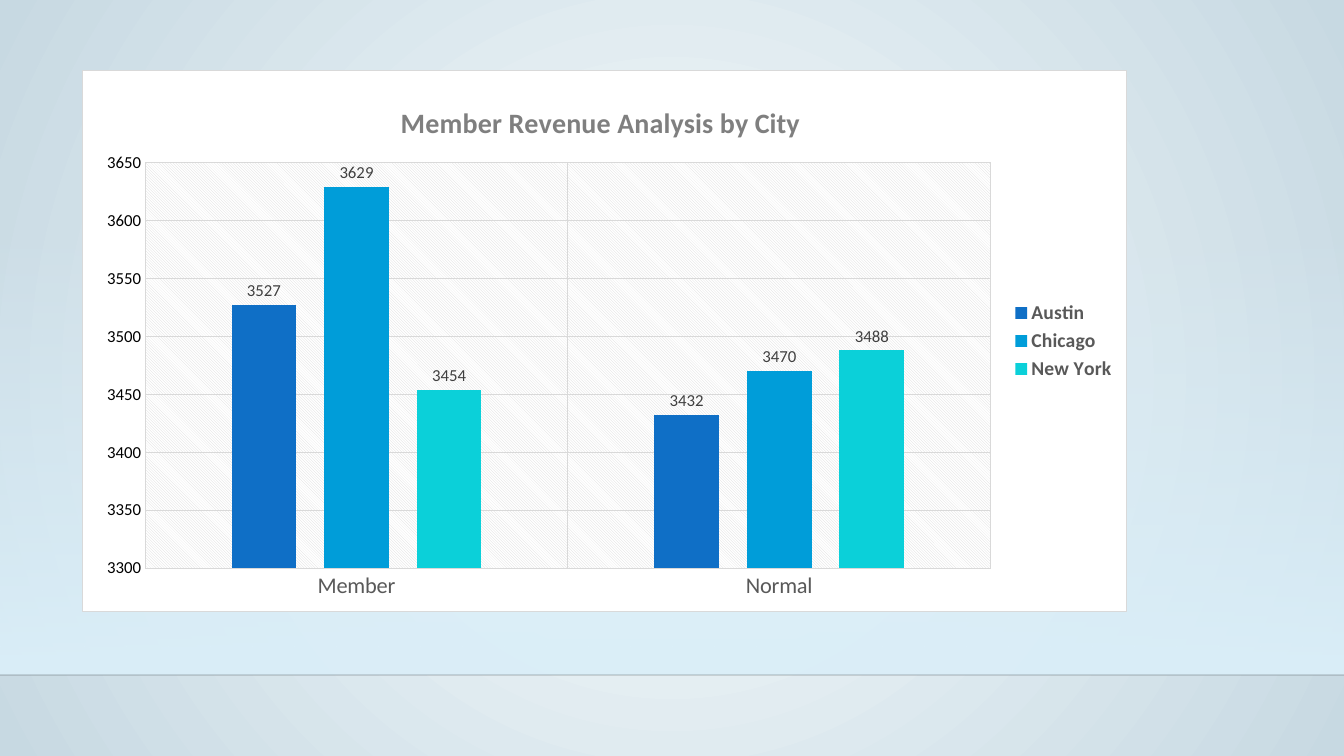
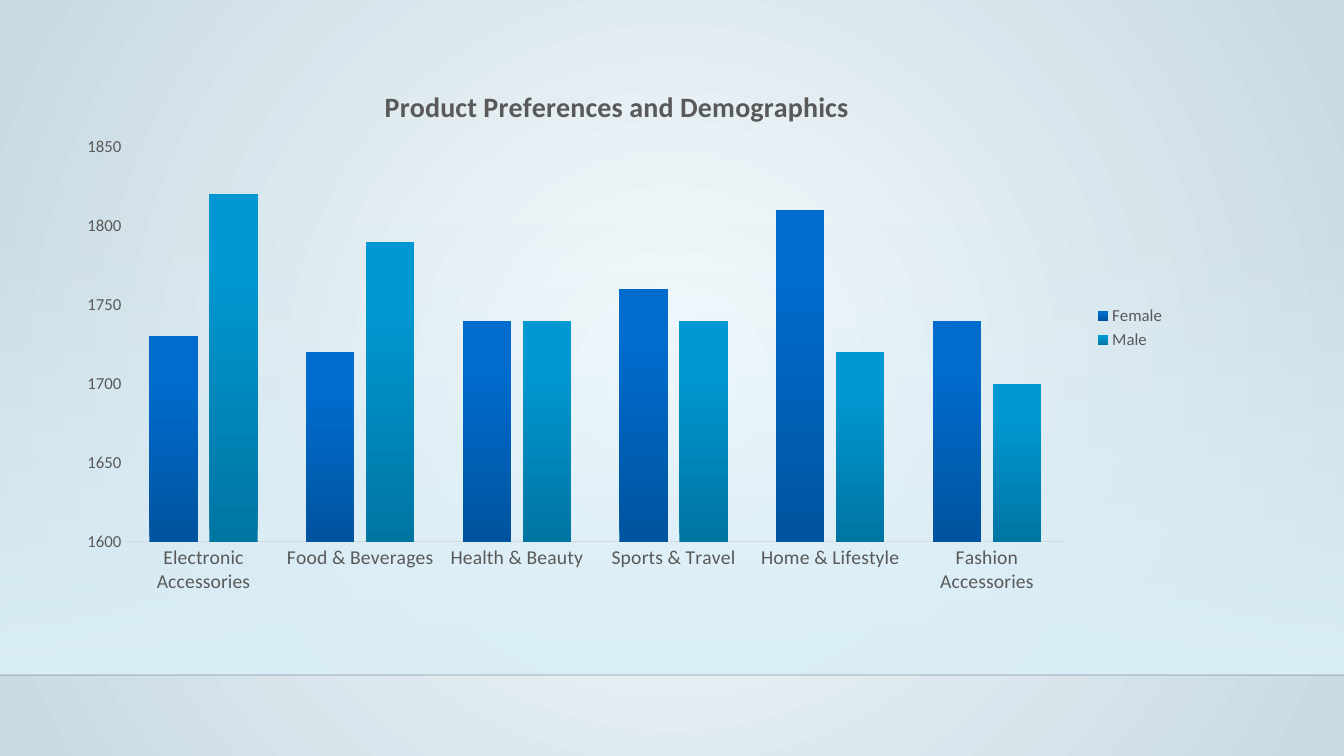
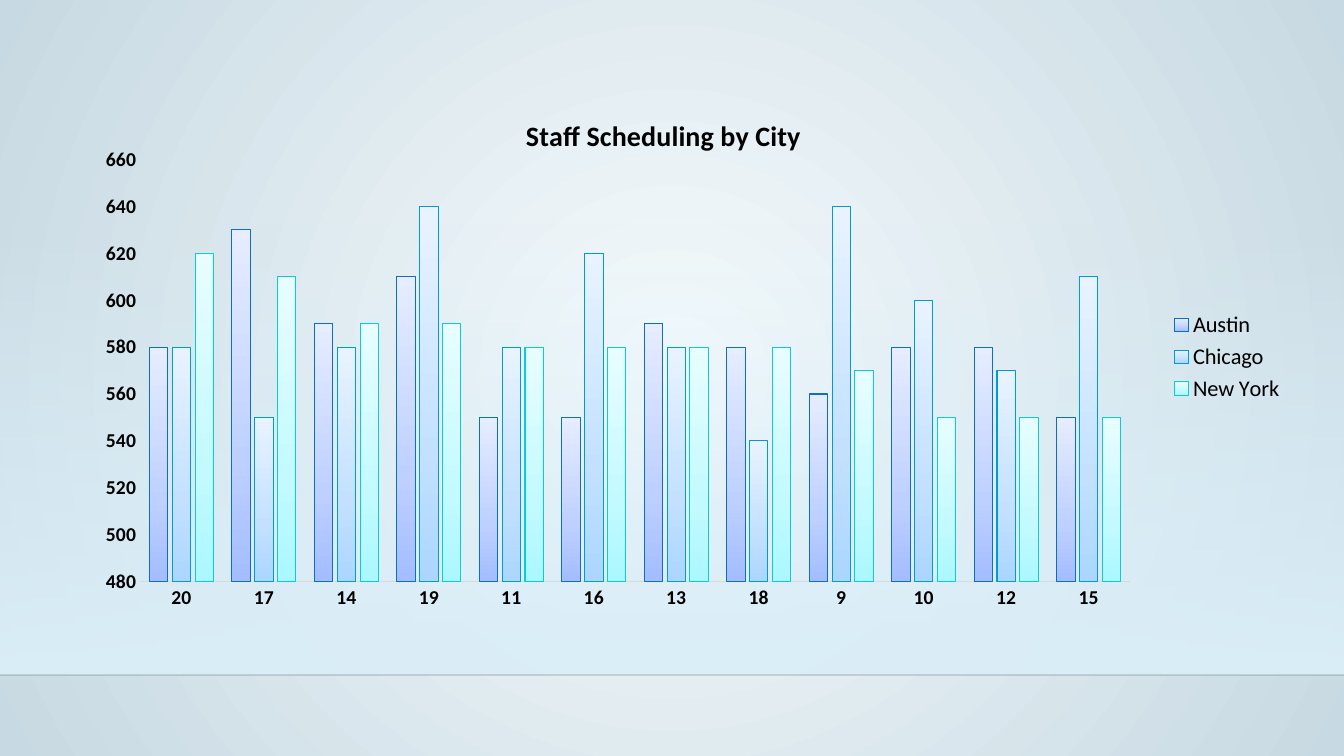
"""Build three column-chart slides on a shared pale blue stage."""
import dataclasses

import lxml.etree
import pptx
import pptx.chart.data
import pptx.dml.color
import pptx.enum.chart
import pptx.enum.shapes
import pptx.oxml
import pptx.oxml.ns
import pptx.util

SCALE = 914400 / 100.8
WIDE, HIGH = 1344, 756
BLANK = 6
qn = pptx.oxml.ns.qn


@dataclasses.dataclass(frozen=True)
class Theme:
    """Colours and type sizes of the deck."""
    face: str = "Calibri"
    black: str = "000000"
    ink: str = "595959"
    gray: str = "7F7F7F"
    label: str = "404040"
    rule: str = "D9D9D9"
    white: str = "FFFFFF"
    edge: str = "000001"
    stage: tuple = ((0, "F6FBFD"), (100, "C7D9E2"))
    band: tuple = ((0, "DBEFF9", 0), (100, "DBEFF9"))
    flat: tuple = ("0F6FC6", "009DD9", "0BD0D9")
    deep: tuple = (
        ((0, "00539F"), (80, "006CCE"), (100, "006DCF")),
        ((0, "0075A2"), (80, "0098D2"), (100, "0099D3")),
    )
    pale: tuple = (
        ((0, "A3BDFF"), (35, "BED0FF"), (100, "E6EDFF")),
        ((0, "ABD6FF"), (35, "C3E1FF"), (100, "E8F3FF")),
        ((0, "ABF8FF"), (35, "C3FAFF"), (100, "E8FDFF")),
    )
    trim: tuple = ("0F6DC2", "009AD4", "0BCBD4")
    head: int = 20
    large: int = 16
    mid: int = 14
    small: int = 12
    base: int = 10


def px(size):
    """Turn px into EMU."""
    return round(size * SCALE)


def rgb(code):
    """Turn a hex code into a colour."""
    return pptx.dml.color.RGBColor.from_string(code)


def node(tag, parent=None, **attrs):
    """Make an XML element, under a parent if one is given."""
    item = pptx.oxml.parse_xml(f"<{tag} {pptx.oxml.ns.nsdecls('a', 'c')}/>")
    for key, val in attrs.items():
        item.set(key, str(val))
    if parent is not None:
        parent.append(item)
    return item


def tint(parent, code, alpha=100):
    """Add a colour with an optional alpha."""
    color = node("a:srgbClr", parent, val=code)
    if alpha < 100:
        node("a:alpha", color, val=alpha * 1000)


def blend(fill, owner, stops, angle=None):
    """Fill with a linear gradient, or a round one if no angle is given."""
    fill.gradient()
    old = next(owner.iter(qn("a:gradFill")))
    new = node("a:gradFill", rotWithShape=1)
    row = node("a:gsLst", new)
    for spot, *color in stops:
        tint(node("a:gs", row, pos=spot * 1000), *color)
    if angle is None:
        way = node("a:path", new, path="circle")
        node("a:fillToRect", way, l=50000, t=50000, r=50000, b=50000)
    else:
        node("a:lin", new, ang=angle * 60000, scaled=0)
    old.getparent().replace(old, new)


def place(parent, index, inner=False, **box):
    """Give a chart part a manual layout."""
    old = parent.find(qn("c:layout"))
    if old is not None:
        parent.remove(old)
    outer = node("c:layout")
    parent.insert(index, outer)
    spot = node("c:manualLayout", outer)
    if inner:
        node("c:layoutTarget", spot, val="inner")
    for key in "xy":
        node(f"c:{key}Mode", spot, val="edge")
    for key, val in box.items():
        node(f"c:{key}", spot, val=val)


class Deck:
    """Hold the style and the current slide."""

    def __init__(self, theme):
        """Set the slide size and the shared background."""
        self.theme = theme
        self.show = pptx.Presentation()
        self.show.slide_width, self.show.slide_height = px(WIDE), px(HIGH)
        main = self.show.slide_master
        blend(main.background.fill, main.element, theme.stage)
        self.slide = None

    def start(self):
        """Add a slide with its band and edge."""
        self.slide = self.show.slides.add_slide(self.show.slide_layouts[BLANK])
        self.band(223, 452)
        self.edge(675)

    def band(self, top, tall):
        """Draw a full-width band that fades in downwards."""
        kind = pptx.enum.shapes.MSO_SHAPE.RECTANGLE
        band = self.slide.shapes.add_shape(kind, 0, px(top), px(WIDE), px(tall))
        band.shadow.inherit = False
        band.line.fill.background()
        blend(band.fill, band.element, self.theme.band, 90)

    def edge(self, top):
        """Draw a faint full-width line."""
        kind = pptx.enum.shapes.MSO_CONNECTOR.STRAIGHT
        edge = self.slide.shapes.add_connector(kind, 0, px(top), px(WIDE), px(top))
        self.stroke(edge.line, self.theme.edge, 1)
        color = next(edge.element.spPr.iter(qn("a:srgbClr")))
        node("a:alpha", color, val=20000)
        node("a:effectLst", edge.element.spPr)

    def stroke(self, line, code, width=0.75):
        """Set a line's colour and width."""
        line.color.rgb = rgb(code)
        line.width = pptx.util.Pt(width)

    def font(self, font, size, code, bold=False):
        """Set face, size, colour and weight."""
        font.name = self.theme.face
        font.size = pptx.util.Pt(size)
        font.color.rgb = rgb(code)
        font.bold = bold

    def chart(self, box, cats, rows):
        """Add a clustered column chart with a legend at the right."""
        data = pptx.chart.data.CategoryChartData()
        data.categories = cats
        for name, vals in rows.items():
            data.add_series(name, vals)
        kind = pptx.enum.chart.XL_CHART_TYPE.COLUMN_CLUSTERED
        chart = self.slide.shapes.add_chart(kind, *map(px, box), data).chart
        self.font(chart.font, self.theme.base, self.theme.black)
        chart.plots[0].vary_by_categories = False
        chart.has_legend = True
        chart.legend.position = pptx.enum.chart.XL_LEGEND_POSITION.RIGHT
        chart.legend.include_in_layout = False
        return chart

    def title(self, chart, text, code, left):
        """Write the chart title at a share of the chart's width."""
        frame = chart.chart_title.text_frame
        frame.text = text
        self.font(frame.paragraphs[0].font, self.theme.head, code, True)
        place(chart.chart_title._element, 1, x=left, y=0.05)

    def plot(self, chart, gap, lap, x, y, w, h):
        """Set the bar gaps and the inner plot area."""
        chart.plots[0].gap_width = gap
        chart.plots[0].overlap = lap
        area = next(chart.element.iter(qn("c:plotArea")))
        place(area, 0, True, x=x, y=y, w=w, h=h)

    def axes(self, chart, low, high, step, width=0.75, grid=False):
        """Set the scale, the lines and the grid."""
        cat, val = chart.category_axis, chart.value_axis
        val.minimum_scale, val.maximum_scale = low, high
        val.major_unit = step
        for axis in (cat, val):
            axis.major_tick_mark = pptx.enum.chart.XL_TICK_MARK.NONE
            axis.has_major_gridlines = grid
            if grid:
                self.stroke(axis.major_gridlines.format.line, self.theme.rule)
        self.stroke(cat.format.line, self.theme.rule, width)
        val.format.line.fill.background()

    def fonts(self, chart, cat, val, key):
        """Set the fonts of both axes and the legend."""
        self.font(chart.category_axis.tick_labels.font, *cat)
        self.font(chart.value_axis.tick_labels.font, *val)
        self.font(chart.legend.font, *key)

    def bars(self, chart, fills, trims=()):
        """Colour the series, flat or blended, with optional outlines."""
        for index, (row, fill) in enumerate(zip(chart.plots[0].series, fills)):
            if isinstance(fill, str):
                row.format.fill.solid()
                row.format.fill.fore_color.rgb = rgb(fill)
            else:
                blend(row.format.fill, row._element, fill, 270)
            if trims:
                self.stroke(row.format.line, trims[index])

    def labels(self, chart):
        """Show each value above its bar."""
        for row in chart.plots[0].series:
            tags = row.data_labels
            tags.show_value = True
            tags.position = pptx.enum.chart.XL_LABEL_POSITION.OUTSIDE_END
            self.font(tags.font, self.theme.small, self.theme.label)

    def clear(self, chart):
        """Leave the chart frame without fill or line."""
        skin = node("c:spPr")
        node("a:noFill", skin)
        node("a:noFill", node("a:ln", skin))
        chart.element.find(qn("c:chart")).addnext(skin)

    def card(self, chart):
        """Give the chart a white card and a hatched plot area."""
        skin = node("c:spPr")
        tint(node("a:solidFill", skin), self.theme.white)
        line = node("a:ln", skin, w=pptx.util.Pt(0.75))
        tint(node("a:solidFill", line), self.theme.rule)
        chart.element.find(qn("c:chart")).addnext(skin)
        area = next(chart.element.iter(qn("c:plotArea")))
        hatch = node("a:pattFill", node("c:spPr", area), prst="ltDnDiag")
        tint(node("a:fgClr", hatch), self.theme.rule)
        tint(node("a:bgClr", hatch), self.theme.white)


def member(deck):
    """Build the revenue slide."""
    look = deck.theme
    deck.start()
    chart = deck.chart((82, 70, 1045, 542), ["Member", "Normal"], {
        "Austin": (3527, 3432),
        "Chicago": (3629, 3470),
        "New York": (3454, 3488),
    })
    deck.title(chart, "Member Revenue Analysis by City", look.gray, 0.3)
    deck.plot(chart, 267, -43, 0.06, 0.17, 0.81, 0.75)
    deck.axes(chart, 3300, 3650, 50, grid=True)
    deck.fonts(chart, (look.large, look.ink), (look.small, look.black),
               (look.mid, look.ink, True))
    deck.bars(chart, look.flat)
    deck.labels(chart)
    deck.card(chart)


def product(deck):
    """Build the preferences slide."""
    look = deck.theme
    deck.start()
    cats = ["Electronic Accessories", "Food & Beverages", "Health & Beauty",
            "Sports & Travel", "Home & Lifestyle", "Fashion Accessories"]
    chart = deck.chart((70, 54, 1106, 548), cats, {
        "Female": (1730, 1720, 1740, 1760, 1810, 1740),
        "Male": (1820, 1790, 1740, 1740, 1720, 1700),
    })
    deck.title(chart, "Product Preferences and Demographics", look.ink, 0.28)
    deck.plot(chart, 100, -24, 0.05, 0.17, 0.85, 0.72)
    deck.axes(chart, 1600, 1850, 50, width=1)
    deck.fonts(chart, (look.mid, look.ink), (look.small, look.ink),
               (look.small, look.ink))
    deck.bars(chart, look.deep)
    deck.clear(chart)


def staff(deck):
    """Build the scheduling slide."""
    look = deck.theme
    deck.start()
    cats = "20 17 14 19 11 16 13 18 9 10 12 15".split()
    chart = deck.chart((26, 83, 1269, 548), cats, {
        "Austin": (580, 630, 590, 610, 550, 550, 590, 580, 560, 580, 580, 550),
        "Chicago": (580, 550, 580, 640, 580, 620, 580, 540, 640, 600, 570, 610),
        "New York": (620, 610, 590, 590, 580, 580, 580, 580, 570, 550, 550, 550),
    })
    deck.title(chart, "Staff Scheduling by City", look.black, 0.39)
    deck.plot(chart, 100, -24, 0.09, 0.14, 0.78, 0.77)
    deck.axes(chart, 480, 660, 20)
    bold = (look.mid, look.black, True)
    deck.fonts(chart, bold, bold, (look.large, look.black))
    deck.bars(chart, look.pale, look.trim)
    deck.clear(chart)


def main():
    """Build and save the deck."""
    deck = Deck(Theme())
    for build in (member, product, staff):
        build(deck)
    deck.show.save("out.pptx")


if __name__ == "__main__":
    main()
